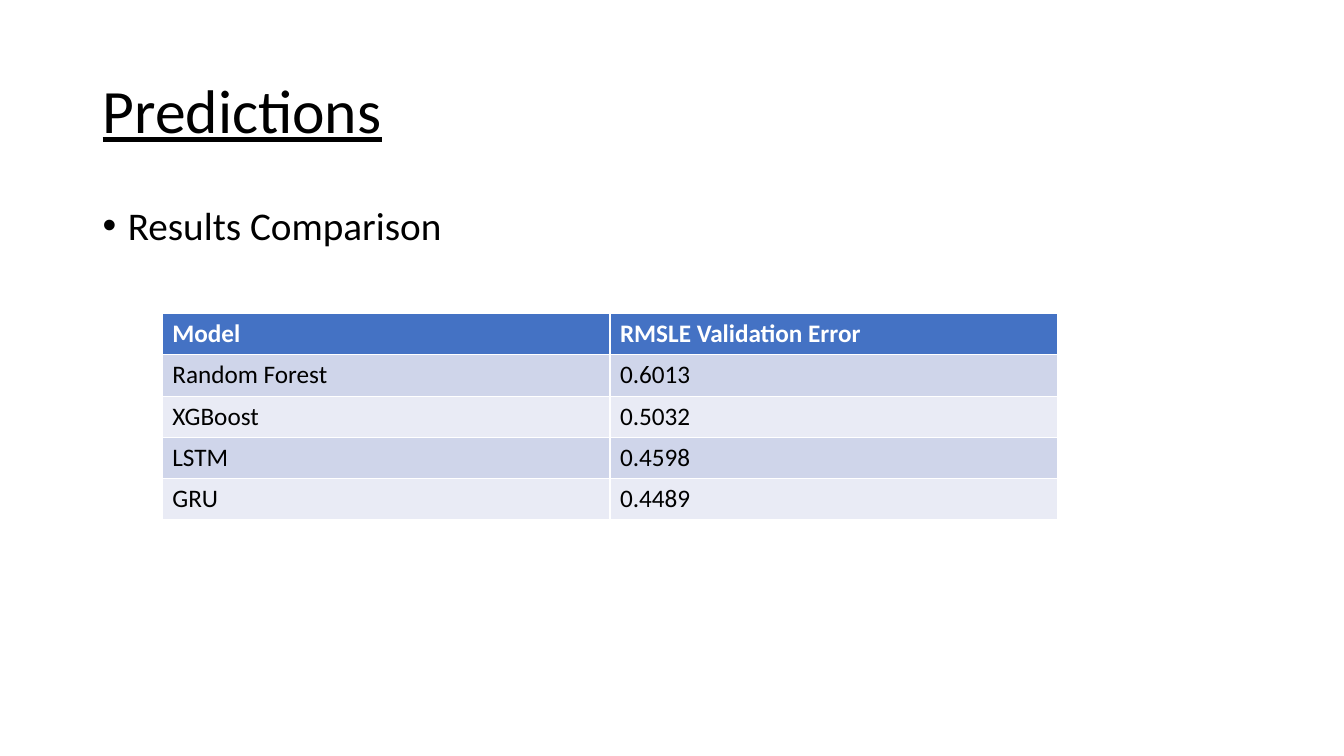
"""Build the Predictions slide with its model comparison table."""
from dataclasses import dataclass, field

from lxml import etree
from pptx import Presentation
from pptx import util as u
from pptx.dml.color import RGBColor
from pptx.enum import text
from pptx.oxml.ns import qn

COLORS = {"ink": "000000", "white": "FFFFFF", "header": "4472C4",
          "odd": "CFD5EA", "even": "E9EBF5"}
RESULTS = [("Model", "RMSLE Validation Error"), ("Random Forest", "0.6013"),
           ("XGBoost", "0.5032"), ("LSTM", "0.4598"), ("GRU", "0.4489")]
COL_WIDTH, ROW_HEIGHT = 4.44, 0.41


@dataclass
class TextBlock:
    words: str
    box: tuple[float, float, float, float]
    anchor: text.MSO_ANCHOR
    font: dict
    spacing: dict = field(default_factory=dict)
    bullet: str = ""


BLOCKS = [
    TextBlock("Predictions", (0.92, 0.4, 11.5, 1.45), text.MSO_ANCHOR.MIDDLE,
              {"size": u.Pt(44), "underline": True}, {"line_spacing": 0.9}),
    TextBlock("Results Comparison", (0.92, 2, 11.5, 4.76), text.MSO_ANCHOR.TOP,
              {"size": u.Pt(28)},
              {"line_spacing": 0.9, "space_before": u.Pt(10)}, "•"),
]


def set_all(target, values: dict) -> None:
    for name, value in values.items():
        setattr(target, name, value)


def write(p, words: str, color: str, font: dict) -> None:
    r = p.add_run()
    r.text = words
    set_all(r.font, {"name": "Calibri", **font})
    r.font.color.rgb = RGBColor.from_string(COLORS[color])


def add_bullet(p, char: str) -> None:
    pPr = p._p.get_or_add_pPr()
    pPr.set("marL", str(u.Inches(0.25)))
    pPr.set("indent", str(u.Inches(-0.25)))
    etree.SubElement(pPr, qn("a:buFont"), typeface="Arial")
    etree.SubElement(pPr, qn("a:buChar"), char=char)


def draw_block(s, block: TextBlock) -> None:
    tf = s.shapes.add_textbox(*map(u.Inches, block.box)).text_frame
    set_all(tf, {"word_wrap": True, "vertical_anchor": block.anchor})
    p = tf.paragraphs[0]
    set_all(p, block.spacing)
    if block.bullet:
        add_bullet(p, block.bullet)
    write(p, block.words, "ink", block.font)


def draw_table(s, rows: list[tuple[str, str]]) -> None:
    size = (COL_WIDTH * len(rows[0]), ROW_HEIGHT * len(rows))
    tbl = s.shapes.add_table(len(rows), len(rows[0]),
                             *map(u.Inches, (1.61, 3.11, *size))).table
    for i, row in enumerate(rows):
        header = i == 0
        fill = "header" if header else ("odd" if i % 2 else "even")
        for j, words in enumerate(row):
            cell = tbl.cell(i, j)
            cell.fill.solid()
            cell.fill.fore_color.rgb = RGBColor.from_string(COLORS[fill])
            write(cell.text_frame.paragraphs[0], words,
                  "white" if header else "ink",
                  {"size": u.Pt(18), "bold": header})


def main() -> None:
    prs = Presentation()
    set_all(prs, {"slide_width": u.Inches(13.33), "slide_height": u.Inches(7.5)})
    s = prs.slides.add_slide(prs.slide_layouts[6])
    for block in BLOCKS:
        draw_block(s, block)
    draw_table(s, RESULTS)
    prs.save("out.pptx")


if __name__ == "__main__":
    main()
